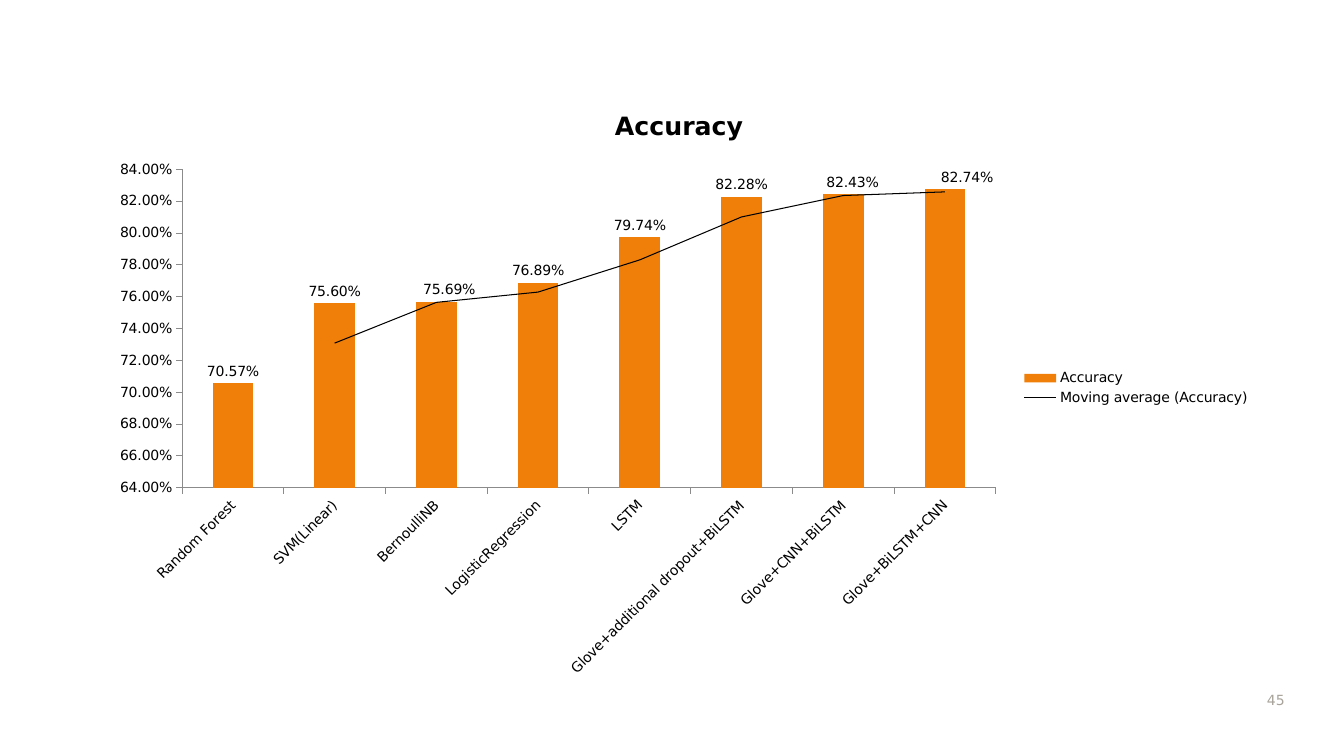
"""Slide with a column chart of model accuracy and its moving average."""
import pptx
import pptx.util
import pptx.chart.data
import pptx.dml.color
import pptx.enum.chart
import pptx.enum.text
import pptx.oxml
import pptx.oxml.ns

Inches = pptx.util.Inches
Pt = pptx.util.Pt
qn = pptx.oxml.ns.qn
enum = pptx.enum.chart
colors = {"bar": "F07F09", "text": "000000", "axis": "8B8B8B", "page": "A8A49B"}
scores = {
    "Random Forest": 0.7057,
    "SVM(Linear)": 0.756,
    "BernoulliNB": 0.7569,
    "LogisticRegression": 0.7689,
    "LSTM": 0.7974,
    "Glove+additional dropout+BiLSTM": 0.8228,
    "Glove+CNN+BiLSTM": 0.8243,
    "Glove+BiLSTM+CNN": 0.8274,
}
shifts = {2: 0.011, 6: 0.008, 7: 0.019}


def style(font, size, color):
    font.name = "DejaVu Sans"
    font.size = Pt(size)
    font.color.rgb = pptx.dml.color.RGBColor.from_string(colors[color])


def build(tag, body):
    space = pptx.oxml.ns.nsdecls("c", "a")
    return pptx.oxml.parse_xml(f"<c:{tag} {space}>{body}</c:{tag}>")


deck = pptx.Presentation()
deck.slide_width = Inches(13.33)
deck.slide_height = Inches(7.5)
slide = deck.slides.add_slide(deck.slide_layouts[6])

page = slide.shapes.add_textbox(Inches(12.17), Inches(6.68), Inches(0.67), Inches(0.4))
frame = page.text_frame
frame.word_wrap = True
frame.vertical_anchor = pptx.enum.text.MSO_ANCHOR.BOTTOM
frame.text = "45"
frame.paragraphs[0].alignment = pptx.enum.text.PP_ALIGN.RIGHT
style(frame.paragraphs[0].runs[0].font, 10, "page")

data = pptx.chart.data.CategoryChartData(number_format="0.00%")
data.categories = list(scores)
data.add_series("Accuracy", list(scores.values()))
chart = slide.shapes.add_chart(
    enum.XL_CHART_TYPE.COLUMN_CLUSTERED,
    Inches(0.97), Inches(0.87), Inches(11.53), Inches(5.96), data,
).chart
style(chart.font, 10, "text")

chart.has_title = True
chart.chart_title.text_frame.text = "Accuracy"
title = chart.chart_title.text_frame.paragraphs[0].runs[0].font
style(title, 18, "text")
title.bold = True
chart.has_legend = True
chart.legend.position = enum.XL_LEGEND_POSITION.RIGHT
chart.legend.include_in_layout = False

for axis in (chart.category_axis, chart.value_axis):
    axis.has_major_gridlines = False
    axis.major_tick_mark = enum.XL_TICK_MARK.OUTSIDE
    axis.minor_tick_mark = enum.XL_TICK_MARK.NONE
    axis.format.line.width = Pt(0.75)
    axis.format.line.color.rgb = pptx.dml.color.RGBColor.from_string(colors["axis"])
    style(axis.tick_labels.font, 10, "text")
chart.category_axis._element.find(".//" + qn("a:bodyPr")).set("rot", "-2700000")
scale = chart.value_axis
scale.minimum_scale = 0.64
scale.maximum_scale = 0.84
scale.major_unit = 0.02
scale.tick_labels.number_format = "0.00%"
scale.tick_labels.number_format_is_linked = False

plot = chart.plots[0]
plot.gap_width = 150
plot.vary_by_categories = False
bars = plot.series[0]
bars.format.fill.solid()
bars.format.fill.fore_color.rgb = pptx.dml.color.RGBColor.from_string(colors["bar"])
labels = bars.data_labels
labels.show_value = True
labels.position = enum.XL_LABEL_POSITION.OUTSIDE_END
labels.number_format = "0.00%"
labels.number_format_is_linked = False
style(labels.font, 10, "text")

for index, shift in shifts.items():
    label = bars.points[index].data_label
    style(label.font, 10, "text")
    label.position = enum.XL_LABEL_POSITION.OUTSIDE_END
    item = labels._element.xpath(f'c:dLbl[c:idx/@val="{index}"]')[0]
    place = f'<c:manualLayout><c:x val="{shift}"/><c:y val="0"/></c:manualLayout>'
    item.find(qn("c:idx")).addnext(build("layout", place))

trend = build("trendline", f"""<c:spPr><a:ln w="{Pt(0.75)}"><a:solidFill>
<a:srgbClr val="{colors['text']}"/></a:solidFill></a:ln></c:spPr>
<c:trendlineType val="movingAvg"/><c:period val="2"/>
<c:dispRSqr val="0"/><c:dispEq val="0"/>""")
bars._element.find(qn("c:cat")).addprevious(trend)

box = {"x": 0.0725, "y": 0.136, "w": 0.7, "h": 0.53}
sizes = "".join(f'<c:{key} val="{value}"/>' for key, value in box.items())
layout = build("layout", f"""<c:manualLayout><c:layoutTarget val="inner"/>
<c:xMode val="edge"/><c:yMode val="edge"/>{sizes}</c:manualLayout>""")
area = chart._chartSpace.find(".//" + qn("c:plotArea"))
for old in area.findall(qn("c:layout")):
    area.remove(old)
area.insert(0, layout)

deck.save("out.pptx")
